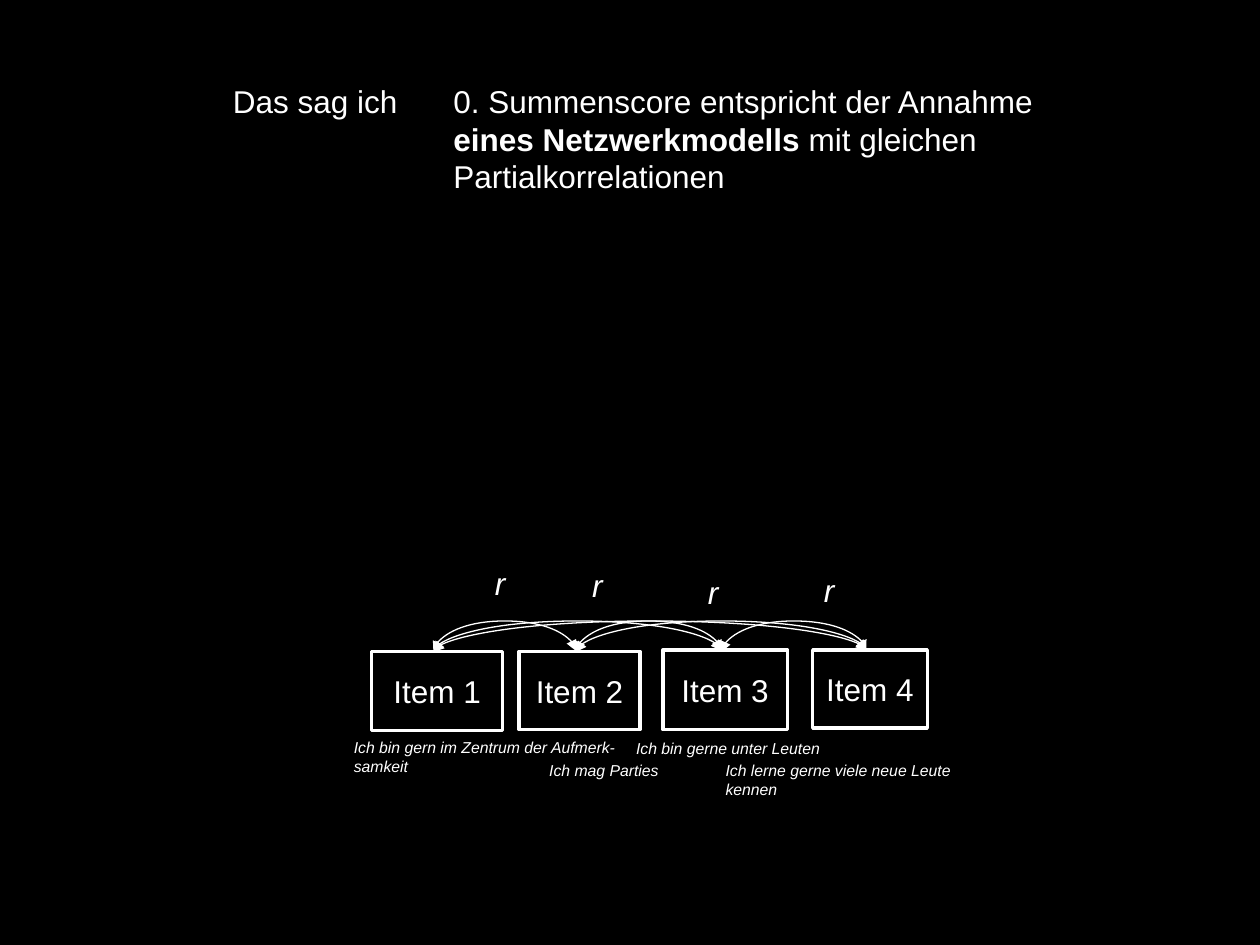
from itertools import combinations

from lxml import etree
from pptx import Presentation
from pptx import util as u
from pptx.dml.color import RGBColor
from pptx.enum import shapes, text
from pptx.oxml.ns import qn

WHITE, BLACK = "FFFFFF", "000000"

deck = Presentation()
deck.slide_width, deck.slide_height = u.Inches(10), u.Inches(7.5)
# Grid of 100 columns by 75 rows
COL, ROW = deck.slide_width / 100, deck.slide_height / 75

slide = deck.slides.add_slide(deck.slide_layouts[6])
slide.background.fill.solid()
slide.background.fill.fore_color.rgb = RGBColor.from_string(BLACK)


def grid(left, top, width, height):
    """Turn columns and rows into slide lengths."""
    return [round(n) for n in (left * COL, top * ROW, width * COL, height * ROW)]


def write(frame, content, size=18, italic=False, align=text.PP_ALIGN.LEFT):
    """Fill a text frame; ** switches bold, a line break starts a paragraph."""
    frame.word_wrap = True
    for row, line in enumerate(content.split("\n")):
        paragraph = frame.add_paragraph() if row else frame.paragraphs[0]
        paragraph.alignment = align
        for part, wording in enumerate(line.split("**")):
            run = paragraph.add_run()
            run.text = wording
            run.font.name, run.font.size = "Arial", u.Pt(size)
            run.font.bold, run.font.italic = part % 2 == 1, italic
            run.font.color.rgb = RGBColor.from_string(WHITE)


# Heading
headings = [
    ("Das sag ich", (17.5, 6, 17.2, 4)),
    ("0. Summenscore entspricht der Annahme **eines Netzwerkmodells **"
     "mit gleichen Partialkorrelationen", (35, 6, 53.3, 10.1)),
]
for heading, place in headings:
    write(slide.shapes.add_textbox(*grid(*place)).text_frame, heading)

# Items of the network
items = [(29.5, 51.7, 10.4, 6.3), (41.2, 51.7, 9.6, 6.2),
         (52.6, 51.6, 9.9, 6.3), (64.5, 51.6, 9.1, 6.2)]
for number, place in enumerate(items, start=1):
    item = slide.shapes.add_shape(shapes.MSO_SHAPE.RECTANGLE, *grid(*place))
    item.shadow.inherit = False
    item.fill.background()
    item.line.color.rgb = RGBColor.from_string(WHITE)
    item.line.width = u.Pt(2)
    item.text_frame.vertical_anchor = text.MSO_ANCHOR.MIDDLE
    write(item.text_frame, f"Item {number}", align=text.PP_ALIGN.CENTER)

# Partial correlations
for left, top in [(38.3, 44.3), (46, 44.4), (55.2, 45), (64.4, 44.8)]:
    label = slide.shapes.add_textbox(*grid(left, top, 7.8, 4))
    write(label.text_frame, "r", italic=True)

# Every pair of items is joined by an arc: a curved connector turned by 90°,
# whose adjustment is the arc's rise relative to its tiny width
BASE, RISE, THIN = 51.7, 2.5, 0.1
anchors = [left + width / 2 - 0.3 for left, _, width, _ in items]
for start, end in combinations(anchors, 2):
    span, middle = end - start, (start + end) / 2
    arc = slide.shapes.add_connector(shapes.MSO_CONNECTOR.CURVE, 0, 0, 0, 0)
    arc.left, arc.top, arc.width, arc.height = grid(
        middle - THIN / 2, BASE - span / 2, THIN, span)
    arc.line.color.rgb = RGBColor.from_string(WHITE)
    arc.line.width = u.Pt(0.75)
    properties = arc.line._get_or_add_ln().getparent()
    transform = properties.find(qn("a:xfrm"))
    for name, value in [("rot", "5400000"), ("flipH", "1"), ("flipV", "1")]:
        transform.set(name, value)
    adjustments = properties.find(qn("a:prstGeom")).find(qn("a:avLst"))
    etree.SubElement(adjustments, qn("a:gd"), name="adj1",
                     fmla=f"val {round(RISE / THIN * 100000)}")
    for tip in ("a:headEnd", "a:tailEnd"):
        etree.SubElement(arc.line._get_or_add_ln(), qn(tip), type="triangle")
    etree.SubElement(properties, qn("a:effectLst"))

# Wording of the items
statements = [
    ("Ich bin gern im Zentrum der Aufmerk-\nsamkeit", (27.1, 58.1, 31.3, 4)),
    ("Ich mag Parties", (42.6, 59.9, 10.8, 2.5)),
    ("Ich bin gerne unter Leuten", (49.5, 58.1, 16.7, 2.5)),
    ("Ich lerne gerne viele neue Leute kennen", (56.6, 59.9, 20.2, 4)),
]
for statement, place in statements:
    write(slide.shapes.add_textbox(*grid(*place)).text_frame, statement,
          size=9, italic=True)

deck.save("out.pptx")
